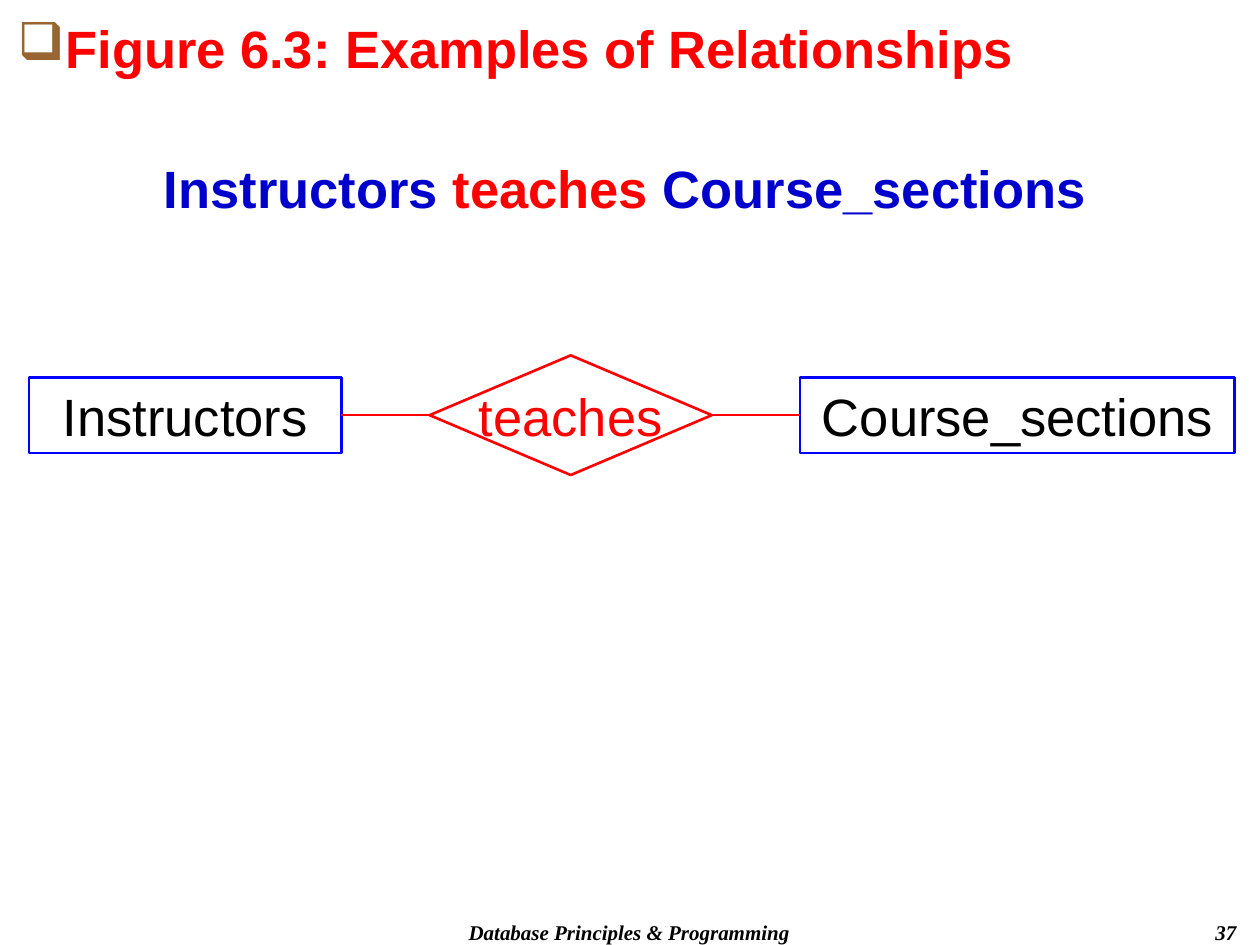
from dataclasses import dataclass

from pptx import Presentation
from pptx.dml.color import RGBColor as RGB
from pptx.enum.shapes import MSO_CONNECTOR as CONN, MSO_SHAPE as SHAPE
from pptx.enum.text import MSO_ANCHOR as ANCHOR, PP_ALIGN as ALIGN
from pptx.oxml.ns import qn
from pptx.util import Inches, Pt
from lxml.etree import SubElement


@dataclass(frozen=True)
class Theme:
    """Colours, fonts and sizes of the slide."""
    red: RGB = RGB(0xFF, 0, 0)
    navy: RGB = RGB(0, 0, 0xCC)
    blue: RGB = RGB(0, 0, 0xFF)
    black: RGB = RGB(0, 0, 0)
    white: RGB = RGB(0xFF, 0xFF, 0xFF)
    bullet: str = "996633"
    sans: str = "Arial"
    serif: str = "Times New Roman"
    main: Pt = Pt(30)
    small: Pt = Pt(12)
    line: Pt = Pt(1.5)


T = Theme()


def style(r, color, size=T.main, name=T.sans, bold=False, italic=False):
    """Format one run."""
    f = r.font
    f.name, f.size, f.bold, f.italic = name, size, bold, italic
    f.color.rgb = color


def add_text(s, box, parts, align, **look):
    """Add a text box with one paragraph of (text, colour) parts."""
    tf = s.shapes.add_textbox(*map(Inches, box)).text_frame
    tf.word_wrap = True
    p = tf.paragraphs[0]
    p.alignment = align
    for text, color in parts:
        r = p.add_run()
        r.text = text
        style(r, color, **look)


def add_heading(s, box, text):
    """Place the bulleted title."""
    sp = s.shapes.title
    sp.left, sp.top, sp.width, sp.height = map(Inches, box)
    tf = sp.text_frame
    tf.text = text
    tf.vertical_anchor = ANCHOR.TOP
    p = tf.paragraphs[0]
    p.alignment = ALIGN.LEFT
    pPr = p._p.get_or_add_pPr()
    pPr.set("marL", str(Inches(0.38)))
    pPr.set("indent", str(-Inches(0.38)))
    color = SubElement(pPr, qn("a:buClr"))
    SubElement(color, qn("a:srgbClr"), val=T.bullet)
    SubElement(pPr, qn("a:buChar"), char="❑")
    style(p.runs[0], T.red, bold=True)


def add_node(s, kind, box, text, line, color):
    """Add an outlined shape with a centred label."""
    sp = s.shapes.add_shape(kind, *map(Inches, box))
    sp.shadow.inherit = False
    sp.line.color.rgb = line
    sp.line.width = T.line
    tf = sp.text_frame
    tf.text = text
    tf.word_wrap = False
    tf.vertical_anchor = ANCHOR.MIDDLE
    p = tf.paragraphs[0]
    p.alignment = ALIGN.CENTER
    style(p.runs[0], color)
    return sp


def add_link(s, start, end):
    """Join the right side of one shape to the left side of the next."""
    c = s.shapes.add_connector(CONN.STRAIGHT, 0, 0, 0, 0)
    c.begin_connect(start, 3)
    c.end_connect(end, 1)
    c.line.color.rgb = T.red
    c.line.width = T.line
    SubElement(c._element.spPr, qn("a:effectLst"))


def add_relationship(s, box):
    """Draw entity, relationship and entity in a row across the box."""
    x, y, w, h = box
    entity_h, left_w, right_w, diamond_w = 0.6, 2.48, 3.45, 2.24
    gap = (w - left_w - diamond_w - right_w) / 2
    entity_y = y + (h - entity_h) / 2
    left = add_node(s, SHAPE.RECTANGLE, (x, entity_y, left_w, entity_h),
                    "Instructors", T.blue, T.black)
    right = add_node(s, SHAPE.RECTANGLE, (x + w - right_w, entity_y, right_w, entity_h),
                     "Course_sections", T.blue, T.black)
    for sp in (left, right):
        sp.fill.background()
    diamond = add_node(s, SHAPE.DIAMOND, (x + left_w + gap, y, diamond_w, h),
                       "teaches", T.red, T.red)
    diamond.fill.solid()
    diamond.fill.fore_color.rgb = T.white
    add_link(s, left, diamond)
    add_link(s, diamond, right)


def add_footer(s, box):
    """Place the course name and the page number."""
    x, y, w, h = box
    look = dict(size=T.small, name=T.serif, bold=True, italic=True)
    add_text(s, (x, y, 4.33, h), [("Database Principles & Programming", T.black)],
             ALIGN.CENTER, **look)
    add_text(s, (x + w - 2.08, y, 2.08, h), [("37", T.black)], ALIGN.RIGHT, **look)


def main():
    """Build and save the slide."""
    prs = Presentation()
    prs.slide_width, prs.slide_height = Inches(10), Inches(7.5)
    s = prs.slides.add_slide(prs.slide_layouts[5])
    add_heading(s, (0.04, 0.08, 9.84, 0.6), "Figure 6.3: Examples of Relationships")
    add_text(s, (0.04, 1.19, 9.84, 0.6),
             [("Instructors ", T.navy), ("teaches ", T.red), ("Course_sections", T.navy)],
             ALIGN.CENTER, bold=True)
    add_relationship(s, (0.23, 2.82, 9.57, 0.95))
    add_footer(s, (2.83, 7.25, 7.08, 0.25))
    prs.save("out.pptx")


if __name__ == "__main__":
    main()
